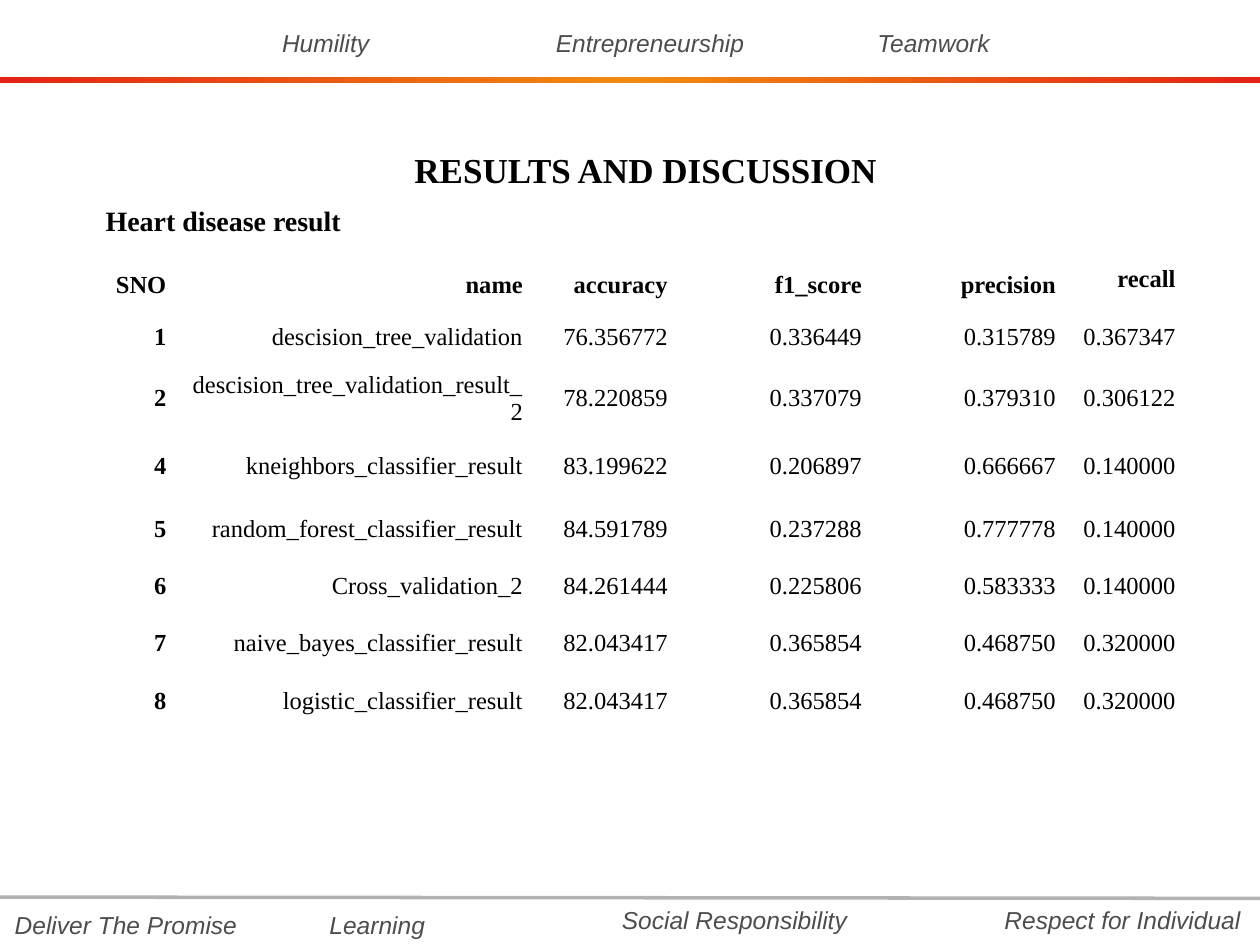
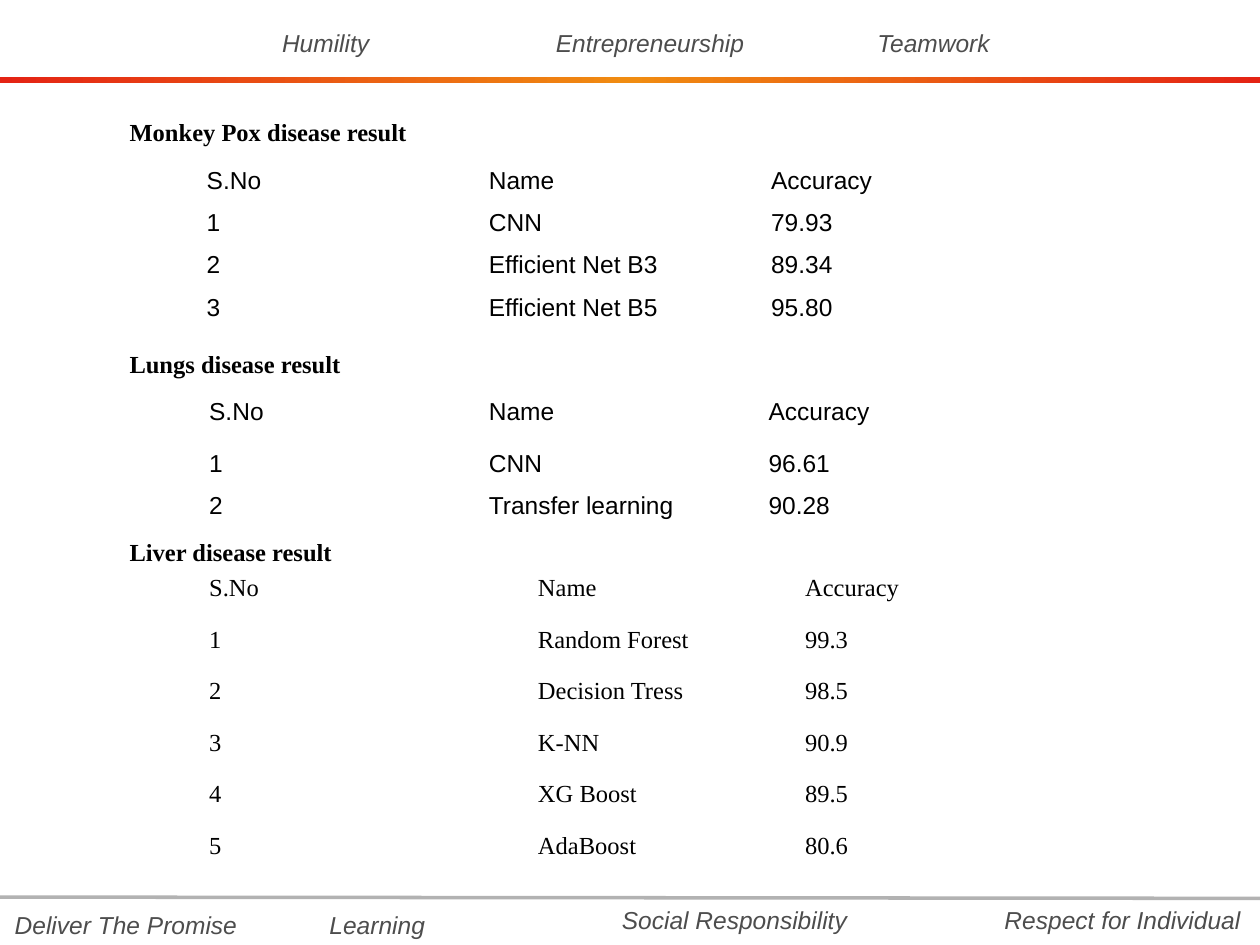
from copy import deepcopy

from pptx import Presentation
from pptx.dml.color import RGBColor
from pptx.enum.shapes import MSO_CONNECTOR, MSO_SHAPE
from pptx.enum.text import MSO_ANCHOR, MSO_AUTO_SIZE, PP_ALIGN
from pptx.oxml.ns import qn
from pptx.oxml.xmlchemy import OxmlElement
from pptx.util import Inches, Pt

LEFT, CENTER, RIGHT = PP_ALIGN.LEFT, PP_ALIGN.CENTER, PP_ALIGN.RIGHT
TOP, MIDDLE = MSO_ANCHOR.TOP, MSO_ANCHOR.MIDDLE
FIT_SHAPE = MSO_AUTO_SIZE.SHAPE_TO_FIT_TEXT
RECTANGLE, STRAIGHT = MSO_SHAPE.RECTANGLE, MSO_CONNECTOR.STRAIGHT

SANS, SERIF = "Arial", "Times New Roman"
BLACK, VALUE_GRAY, RULE_GRAY = "000000", "4D4D4D", "B2B2B2"
BAND_STOPS = [(0, "E42314"), (0.5, "F08C12"), (1, "E42314")]

VALUE_STYLE = {"name": SANS, "size": Pt(14), "italic": True}
TITLE_STYLE = {"name": SERIF, "size": Pt(20), "bold": True}
SUBTITLE_STYLE = {"name": SERIF, "size": Pt(16), "bold": True}
HEADING_STYLE = {"name": SERIF, "size": Pt(14), "bold": True}
SANS_CELL = {"name": SANS, "size": Pt(14), "bold": False}
SERIF_CELL = {"name": SERIF, "size": Pt(14), "bold": False}

# Text, left, top, width
CORE_VALUES = [
    ("Humility", 1.92, 0.17, 1.33),
    ("Entrepreneurship", 4.08, 0.17, 2.16),
    ("Teamwork", 6.33, 0.17, 2.16),
    ("Deliver The Promise", 0, 7.17, 2),
    ("Learning", 2.33, 7.17, 1.33),
    ("Social Responsibility", 4.75, 7.13, 2.16),
    ("Respect for Individual", 7.83, 7.13, 2.16),
]

HEART_RESULTS = [
    ("SNO", "name", "accuracy", "f1_score", "precision", "recall"),
    ("1", "descision_tree_validation", "76.356772", "0.336449", "0.315789", "0.367347"),
    ("2", "descision_tree_validation_result_2", "78.220859", "0.337079", "0.379310", "0.306122"),
    ("4", "kneighbors_classifier_result", "83.199622", "0.206897", "0.666667", "0.140000"),
    ("5", "random_forest_classifier_result", "84.591789", "0.237288", "0.777778", "0.140000"),
    ("6", "Cross_validation_2", "84.261444", "0.225806", "0.583333", "0.140000"),
    ("7", "naive_bayes_classifier_result", "82.043417", "0.365854", "0.468750", "0.320000"),
    ("8", "logistic_classifier_result", "82.043417", "0.365854", "0.468750", "0.320000"),
]
ACCURACY_HEADER = ("S.No", "Name", "Accuracy")
MONKEY_POX_RESULTS = [
    ACCURACY_HEADER,
    ("1", "CNN", "79.93"),
    ("2", "Efficient Net B3", "89.34"),
    ("3", "Efficient Net B5", "95.80"),
]
LUNGS_RESULTS = [
    ACCURACY_HEADER,
    ("1", "CNN", "96.61"),
    ("2", "Transfer learning", "90.28"),
]
LIVER_RESULTS = [
    ACCURACY_HEADER,
    ("1", "Random Forest", "99.3"),
    ("2", "Decision Tress", "98.5"),
    ("3", "K-NN", "90.9"),
    ("4", "XG Boost", "89.5"),
    ("5", "AdaBoost", "80.6"),
]


def color(hex_value):
    return RGBColor.from_string(hex_value)


def write_text(paragraph, text, style, hex_value=BLACK, align=LEFT):
    paragraph.alignment = align
    run = paragraph.add_run()
    run.text = text
    for name, value in style.items():
        setattr(run.font, name, value)
    run.font.color.rgb = color(hex_value)


def add_core_value(slide, text, left, top, width):
    box = slide.shapes.add_textbox(Inches(left), Inches(top), Inches(width), Inches(0.33))
    box.text_frame.word_wrap = True
    write_text(box.text_frame.paragraphs[0], text, VALUE_STYLE, VALUE_GRAY, CENTER)


def add_heading(slide, text, left, top, width, height=0.34, style=HEADING_STYLE):
    box = slide.shapes.add_textbox(Inches(left), Inches(top), Inches(width), Inches(height))
    box.text_frame.word_wrap = False
    box.text_frame.auto_size = FIT_SHAPE
    write_text(box.text_frame.paragraphs[0], text, style)


def add_gradient_band(slide):
    band = slide.shapes.add_shape(RECTANGLE, 0, Inches(0.61), Inches(10), Inches(0.05))
    band.shadow.inherit = False
    band.line.fill.background()
    band.fill.gradient()
    band.fill.gradient_angle = 0
    first_stop = band._element.spPr.find(".//" + qn("a:gs"))
    first_stop.addnext(deepcopy(first_stop))
    for stop, (position, hex_value) in zip(band.fill.gradient_stops, BAND_STOPS):
        stop.position = position
        stop.color.rgb = color(hex_value)


def add_footer_rule(slide):
    rule = slide.shapes.add_connector(STRAIGHT, 0, Inches(7.12), Inches(10), Inches(7.13))
    rule.line.color.rgb = color(RULE_GRAY)
    rule.line.width = Pt(2)
    rule._element.spPr.append(OxmlElement("a:effectLst"))


def add_framed_slide(presentation):
    """Add a blank slide with the core values, gradient band and footer rule."""
    slide = presentation.slides.add_slide(presentation.slide_layouts[6])
    for core_value in CORE_VALUES:
        add_core_value(slide, *core_value)
    add_gradient_band(slide)
    add_footer_rule(slide)
    return slide


def add_results_table(slide, rows, left, top, widths, heights, style, align=LEFT, anchor=TOP):
    frame = slide.shapes.add_table(
        len(rows), len(widths), Inches(left), Inches(top),
        Inches(sum(widths)), Inches(sum(heights)),
    )
    table = frame.table
    table.first_row = table.horz_banding = False
    for column, width in zip(table.columns, widths):
        column.width = Inches(width)
    for row, height, texts in zip(table.rows, heights, rows):
        row.height = Inches(height)
        for cell, text in zip(row.cells, texts):
            cell.fill.background()
            cell.vertical_anchor = anchor
            write_text(cell.text_frame.paragraphs[0], text, style, align=align)
    return table


def embolden(cell):
    cell.text_frame.paragraphs[0].runs[0].font.bold = True


def add_heart_slide(presentation):
    slide = add_framed_slide(presentation)
    table = add_results_table(
        slide, HEART_RESULTS, 0.77, 2.06, [0.65, 2.83, 1.15, 1.54, 1.54, 0.95],
        [0.41, 0.41, 0.5, 0.5, 0.5, 0.41, 0.5, 0.41], SERIF_CELL, RIGHT, MIDDLE,
    )
    for cell in table.rows[0].cells:
        embolden(cell)
    for row in table.rows:
        embolden(row.cells[0])
    table.cell(0, 5).vertical_anchor = TOP
    add_heading(slide, "Heart disease result", 0.74, 1.57, 2.16, 0.37, SUBTITLE_STYLE)
    add_heading(slide, "RESULTS AND DISCUSSION", 3.19, 1.13, 4.02, 0.44, TITLE_STYLE)


def add_accuracy_slide(presentation):
    slide = add_framed_slide(presentation)
    add_heading(slide, "Monkey Pox disease result", 0.93, 0.88, 2.47)
    add_results_table(slide, MONKEY_POX_RESULTS, 1.54, 1.28, [2.24, 2.24, 2.38],
                      [0.33] * 4, SANS_CELL)
    add_heading(slide, "Lungs disease result", 0.93, 2.72, 1.94)
    add_results_table(slide, LUNGS_RESULTS, 1.56, 3.11, [2.22, 2.22, 2.36],
                      [0.41, 0.33, 0.33], SANS_CELL)
    add_results_table(slide, LIVER_RESULTS, 1.56, 4.51, [2.61, 2.12, 2.12],
                      [0.41] * 6, SERIF_CELL)
    add_heading(slide, "Liver disease result", 0.93, 4.21, 1.88)


def main():
    presentation = Presentation()
    presentation.slide_width = Inches(10)
    presentation.slide_height = Inches(7.5)
    add_heart_slide(presentation)
    add_accuracy_slide(presentation)
    presentation.save("out.pptx")


if __name__ == "__main__":
    main()
